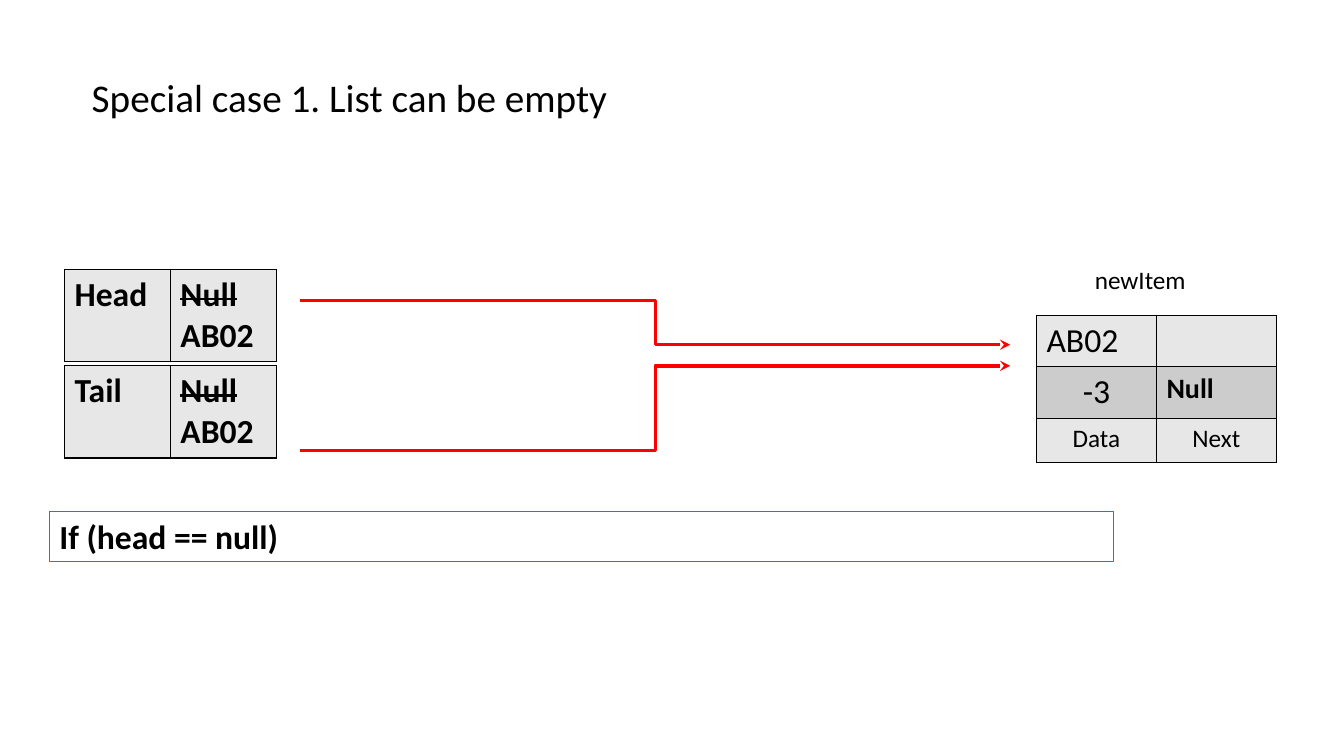
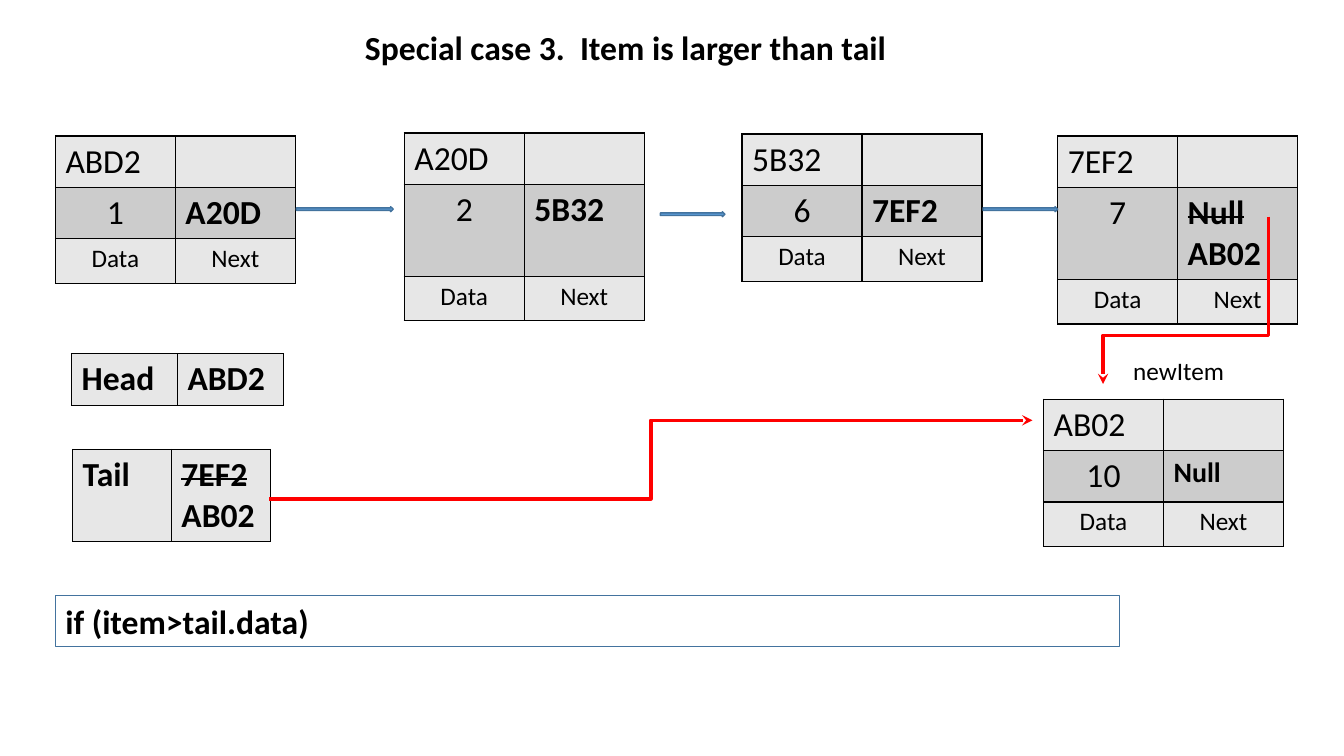
"""Build two slides on special cases of inserting into a linked list."""
from lxml import etree
from pptx import Presentation
from pptx.dml.color import RGBColor
from pptx.enum.shapes import MSO_CONNECTOR, MSO_SHAPE
from pptx.enum.text import MSO_ANCHOR, MSO_AUTO_SIZE, PP_ALIGN
from pptx.oxml.ns import qn
from pptx.util import Inches, Pt

color = RGBColor.from_string
BLACK, RED, BLUE, NAVY = "000000", "FF0000", "5B9BD5", "43739E"
LIGHT, DARK = "E7E7E7", "CCCCCC"
LEFT, CENTER = PP_ALIGN.LEFT, PP_ALIGN.CENTER
LINE_ROW, TALL_ROW, LABEL_ROW = 0.51, 0.91, 0.44

slide_specs = [
    {
        "title": ("Special case 1. List can be empty", 0.81, 0.68, 5.99, 0.57, 28, False),
        "nodes": [(10.28, 3.13, "AB02", "-3", "Null", 20, LINE_ROW)],
        "pointers": [
            (0.64, 2.67, 1.05, "Head", "Null\nAB02"),
            (0.64, 3.63, 1.05, "Tail", "Null\nAB02"),
        ],
        "next_arrows": [],
        "condition": ("If (head == null)", 0.49, 5.07),
        "new_item": (10.76, 2.57),
        "links": [
            (2.98, 2.98, 10.02, 3.42, 0, 50000),
            (2.98, 4.47, 10.02, 3.63, 0, 50000),
        ],
    },
    {
        "title": ("Special case 3.  Item is larger than tail", 3.52, 0.22, 7.17, 0.5, 24, True),
        "nodes": [
            (0.55, 1.35, "ABD2", "1", "A20D", 24, LINE_ROW),
            (4.01, 1.32, "A20D", "2", "5B32", 24, TALL_ROW),
            (7.36, 1.33, "5B32", "6", "7EF2", 24, LINE_ROW),
            (10.49, 1.35, "7EF2", "7", "Null\nAB02", 24, TALL_ROW),
            (10.35, 3.96, "AB02", "10", "Null", 20, LINE_ROW),
        ],
        "pointers": [
            (0.71, 3.51, 1.05, "Head", "ABD2"),
            (0.72, 4.46, 0.98, "Tail", "7EF2\nAB02"),
        ],
        "next_arrows": [(2.94, 2.05, 0.96), (6.55, 2.1, 0.64), (9.75, 2.05, 0.74)],
        "condition": ("if (item>tail.data)", 0.55, 5.91),
        "new_item": (11.14, 3.48),
        "links": [
            (2.67, 4.95, 10.24, 4.17, 0, 50000),
            (10.93, 2.16, 12.59, 3.8, 90, 70900),
        ],
    },
]


def write(frame, text, size, bold=False, align=LEFT):
    """Fill a text frame; of two lines, the first is the struck-out old value."""
    lines = text.split("\n")
    for index, line in enumerate(lines):
        paragraph = frame.paragraphs[0] if index == 0 else frame.add_paragraph()
        paragraph.alignment = align
        paragraph.font.name = "Calibri"
        paragraph.font.size = Pt(size)
        paragraph.font.bold = bold
        paragraph.font.color.rgb = color(BLACK)
        run = paragraph.add_run()
        run.text = line
        if index < len(lines) - 1:
            run._r.get_or_add_rPr().set("strike", "sngStrike")


def add_grid(slide, left, top, column_width, rows):
    """Add a two-column table from rows of (height, fill, cells)."""
    heights = [height for height, _, _ in rows]
    table = slide.shapes.add_table(
        len(rows), 2, Inches(left), Inches(top), Inches(2 * column_width), Inches(sum(heights))
    ).table
    table.first_row = table.horz_banding = False
    for column in table.columns:
        column.width = Inches(column_width)
    for table_row, (height, fill, contents) in zip(table.rows, rows):
        table_row.height = Inches(height)
        for cell, content in zip(table_row.cells, contents):
            write(cell.text_frame, *content)
            cell.fill.solid()
            cell.fill.fore_color.rgb = color(fill)
            properties = cell._tc.get_or_add_tcPr()
            for index, side in enumerate(("a:lnL", "a:lnR", "a:lnT", "a:lnB")):
                border = etree.Element(qn(side), w=str(Pt(1)))
                solid = etree.SubElement(border, qn("a:solidFill"))
                etree.SubElement(solid, qn("a:srgbClr"), val=BLACK)
                properties.insert(index, border)


presentation = Presentation()
presentation.slide_width, presentation.slide_height = Inches(13.33), Inches(7.5)

for spec in slide_specs:
    slide = presentation.slides.add_slide(presentation.slide_layouts[5])

    text, left, top, width, height, size, bold = spec["title"]
    title = slide.shapes.title
    title.left, title.top = Inches(left), Inches(top)
    title.width, title.height = Inches(width), Inches(height)
    title.text_frame.auto_size = MSO_AUTO_SIZE.NONE
    title.text_frame.vertical_anchor = MSO_ANCHOR.TOP
    write(title.text_frame, text, size, bold)

    for left, top, address, data, following, size, height in spec["nodes"]:
        add_grid(slide, left, top, 1.19, [
            (LINE_ROW, LIGHT, [(address, 24), ("", 24)]),
            (height, DARK, [(data, 24, False, CENTER), (following, size, True)]),
            (LABEL_ROW, LIGHT, [("Data", 18, False, CENTER), ("Next", 18, False, CENTER)]),
        ])

    for left, top, column_width, name, value in spec["pointers"]:
        height = TALL_ROW if "\n" in value else LINE_ROW
        add_grid(slide, left, top, column_width, [
            (height, LIGHT, [(name, 24, True), (value, 24, True)]),
        ])

    for left, top, width in spec["next_arrows"]:
        arrow = slide.shapes.add_shape(
            MSO_SHAPE.RIGHT_ARROW, Inches(left), Inches(top), Inches(width), Inches(0.05)
        )
        arrow.shadow.inherit = False
        arrow.fill.solid()
        arrow.fill.fore_color.rgb = color(BLUE)
        arrow.line.color.rgb = color(NAVY)
        arrow.line.width = Pt(1)

    text, left, top = spec["condition"]
    condition = slide.shapes.add_shape(
        MSO_SHAPE.RECTANGLE, Inches(left), Inches(top), Inches(10.55), Inches(0.5)
    )
    condition.shadow.inherit = False
    condition.fill.background()
    condition.line.color.rgb = color(NAVY)
    condition.line.width = Pt(0.75)
    write(condition.text_frame, text, 24, True)

    left, top = spec["new_item"]
    label = slide.shapes.add_textbox(Inches(left), Inches(top), Inches(1.89), Inches(0.4))
    label.text_frame.word_wrap = True
    write(label.text_frame, "newItem", 18)

    for begin_x, begin_y, end_x, end_y, rotation, bend in spec["links"]:
        link = slide.shapes.add_connector(
            MSO_CONNECTOR.ELBOW, Inches(begin_x), Inches(begin_y), Inches(end_x), Inches(end_y)
        )
        link.line.color.rgb = color(RED)
        link.line.width = Pt(2.5)
        etree.SubElement(link.line._get_or_add_ln(), qn("a:tailEnd"), type="stealth")
        properties = link._element.spPr
        etree.SubElement(properties, qn("a:effectLst"))
        if rotation:
            properties.find(qn("a:xfrm")).set("rot", str(rotation * 60000))
        adjustments = properties.find(qn("a:prstGeom")).find(qn("a:avLst"))
        etree.SubElement(adjustments, qn("a:gd"), name="adj1", fmla=f"val {bend}")

presentation.save("out.pptx")
